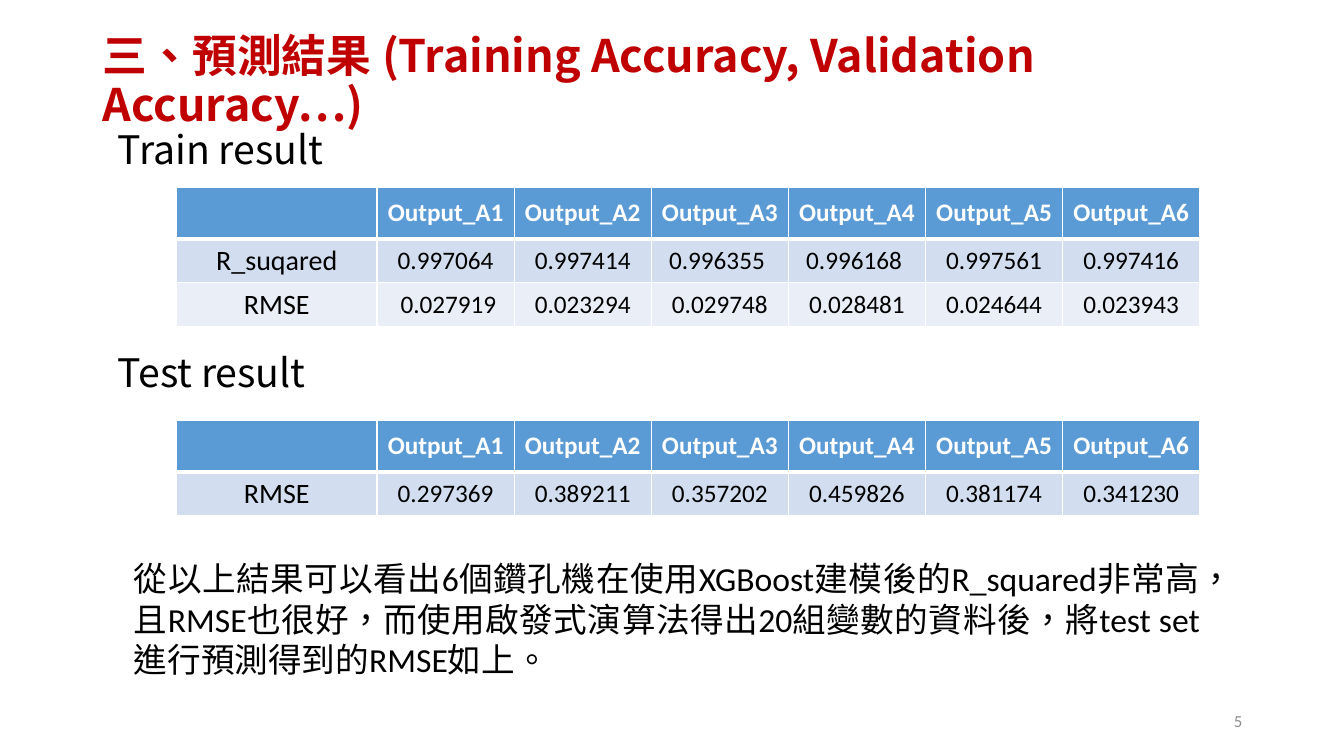
from lxml import etree
from pptx import Presentation
from pptx.dml.color import RGBColor
from pptx.enum.text import MSO_ANCHOR, MSO_AUTO_SIZE, PP_ALIGN
from pptx.oxml.ns import qn
from pptx.util import Inches, Pt

# Content
TITLE = "三、預測結果 (Training Accuracy, Validation Accuracy…)"
PAGE = "5"
HEADER = [""] + [f"Output_A{i}" for i in range(1, 7)]
RESULTS = [  # heading, heading top, table top, rows
    ("Train result", 1.19, 1.86, [
        ["R_suqared", "0.997064", "0.997414", "0.996355 ", "0.996168 ", "0.997561", "0.997416"],
        ["RMSE", " 0.027919", "0.023294", "0.029748", "0.028481", "0.024644", "0.023943"],
    ]),
    ("Test result", 3.41, 4.17, [
        ["RMSE", "0.297369", "0.389211", "0.357202", "0.459826", "0.381174", "0.341230"],
    ]),
]
SUMMARY = ("從以上結果可以看出6個鑽孔機在使用XGBoost建模後的R_squared非常高，"
           "且RMSE也很好，而使用啟發式演算法得出20組變數的資料後，"
           "將test set進行預測得到的RMSE如上。")

# Style
LATIN, CJK = "Calibri", "Noto Sans CJK SC"
RED = RGBColor(0xC0, 0x00, 0x00)
BLACK = RGBColor(0x00, 0x00, 0x00)
WHITE = RGBColor(0xFF, 0xFF, 0xFF)
GRAY = RGBColor(0x8C, 0x8C, 0x8C)
HEADER_FILL = RGBColor(0x5B, 0x9B, 0xD5)
BANDS = [RGBColor(0xD2, 0xDE, 0xEF), RGBColor(0xEA, 0xEF, 0xF7)]
TABLE_LEFT, LABEL_W, VALUE_W = 1.75, 1.99, 1.36
HEADER_H, ROW_H = 0.51, 0.43


def add_run(p, text, size, color, font=LATIN, bold=False):
    r = p.add_run()
    r.text = text
    r.font.size, r.font.bold, r.font.name = Pt(size), bold, font
    r.font.color.rgb = color
    rPr = r._r.get_or_add_rPr()
    rPr.set("lang", "zh-TW")
    etree.SubElement(rPr, qn("a:ea")).set("typeface", CJK)


def add_text(s, box, text, size, color, font=LATIN, bold=False,
             align=PP_ALIGN.LEFT, anchor=MSO_ANCHOR.TOP):
    tf = s.shapes.add_textbox(*map(Inches, box)).text_frame
    tf.word_wrap, tf.vertical_anchor = True, anchor
    p = tf.paragraphs[0]
    p.alignment = align
    add_run(p, text, size, color, font, bold)
    return tf


def add_borders(cell, widths):
    tcPr = cell._tc.get_or_add_tcPr()
    for side, width in zip("LRTB", widths):
        ln = etree.SubElement(tcPr, qn(f"a:ln{side}"), w=str(Pt(width)))
        fill = etree.SubElement(ln, qn("a:solidFill"))
        etree.SubElement(fill, qn("a:srgbClr"), val=str(WHITE))


def add_result_table(s, top, rows):
    width = LABEL_W + VALUE_W * (len(HEADER) - 1)
    height = HEADER_H + ROW_H * len(rows)
    table = s.shapes.add_table(len(rows) + 1, len(HEADER), Inches(TABLE_LEFT),
                               Inches(top), Inches(width), Inches(height)).table
    for j, col in enumerate(table.columns):
        col.width = Inches(VALUE_W if j else LABEL_W)
    for i, values in enumerate([HEADER] + rows):
        table.rows[i].height = Inches(ROW_H if i else HEADER_H)
        for j, value in enumerate(values):
            cell = table.cell(i, j)
            # The rule under the header is heavier than the rest
            add_borders(cell, (1, 1, 3 if i == 1 else 1, 1 if i else 3))
            cell.fill.solid()
            cell.fill.fore_color.rgb = BANDS[(i - 1) % 2] if i else HEADER_FILL
            cell.vertical_anchor = MSO_ANCHOR.MIDDLE
            p = cell.text_frame.paragraphs[0]
            p.alignment = PP_ALIGN.CENTER
            if value:
                add_run(p, value, 20 if j == 0 else 18,
                        BLACK if i else WHITE, bold=i == 0)


prs = Presentation()
prs.slide_width, prs.slide_height = Inches(13.33), Inches(7.5)
s = prs.slides.add_slide(prs.slide_layouts[6])

# Title and page number
tf = add_text(s, (0.92, 0.25, 11.8, 1.14), TITLE, 32, RED, CJK, True,
              anchor=MSO_ANCHOR.MIDDLE)
tf.paragraphs[0].line_spacing = 0.9
tf.auto_size = MSO_AUTO_SIZE.TEXT_TO_FIT_SHAPE
add_text(s, (9.42, 6.95, 3, 0.4), PAGE, 12, GRAY,
         align=PP_ALIGN.RIGHT, anchor=MSO_ANCHOR.MIDDLE)

# Headings with their result tables
for heading, heading_top, table_top, rows in RESULTS:
    add_text(s, (1.07, heading_top, 2.51, 0.57), heading, 28, BLACK, CJK)
    add_result_table(s, table_top, rows)

# Summary
add_text(s, (1.23, 5.49, 10.77, 1.31), SUMMARY, 24, BLACK, align=PP_ALIGN.JUSTIFY)

prs.save("out.pptx")
